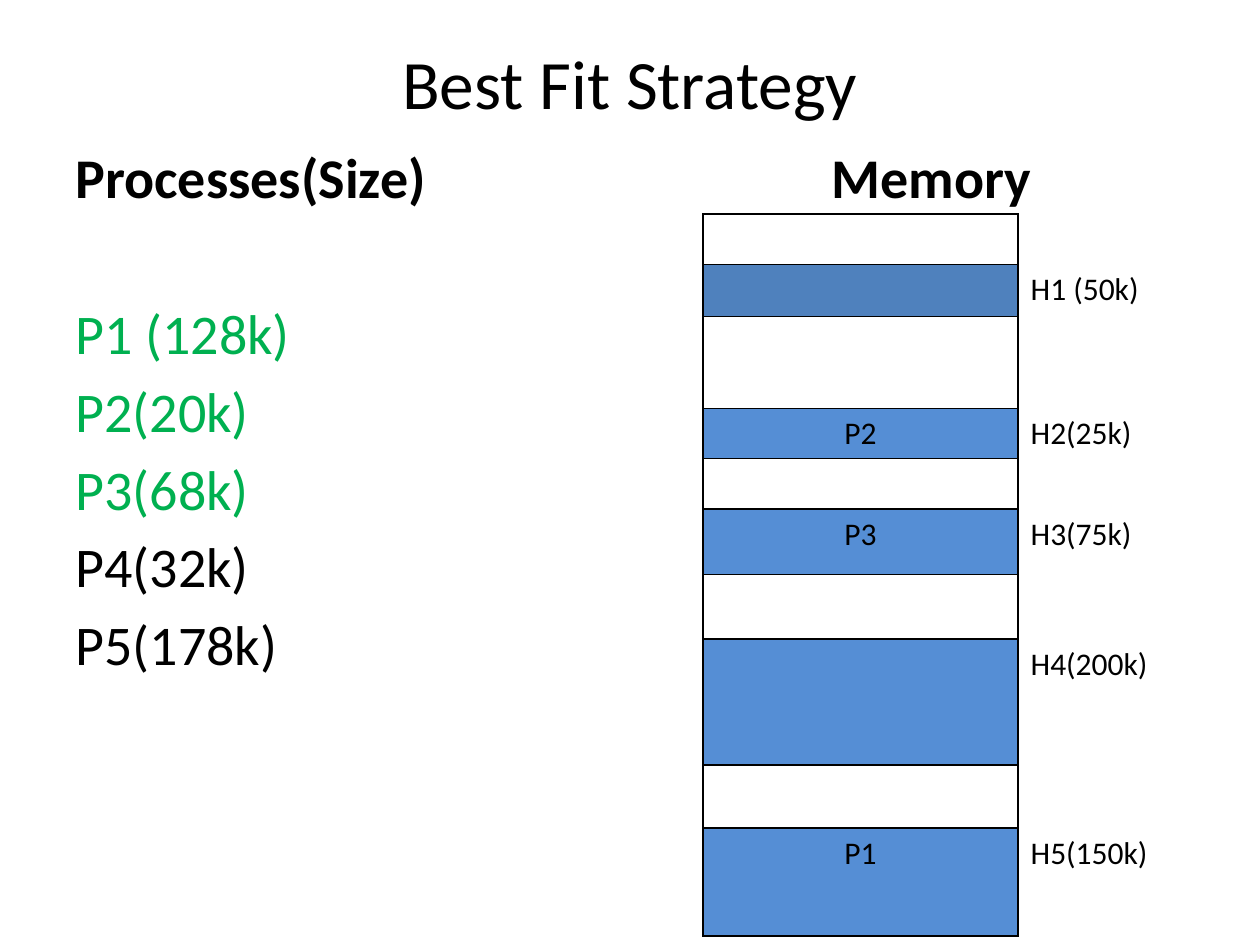
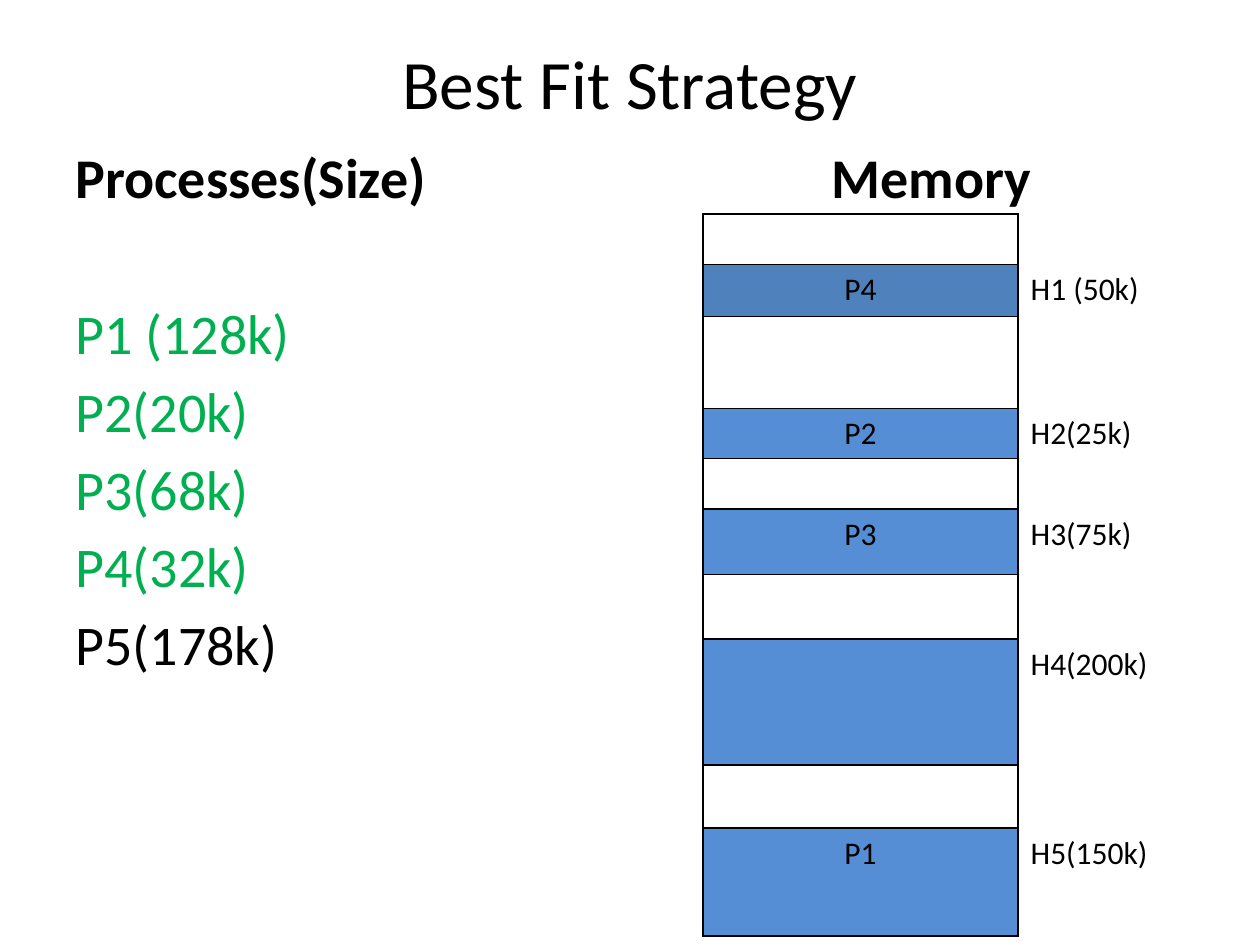
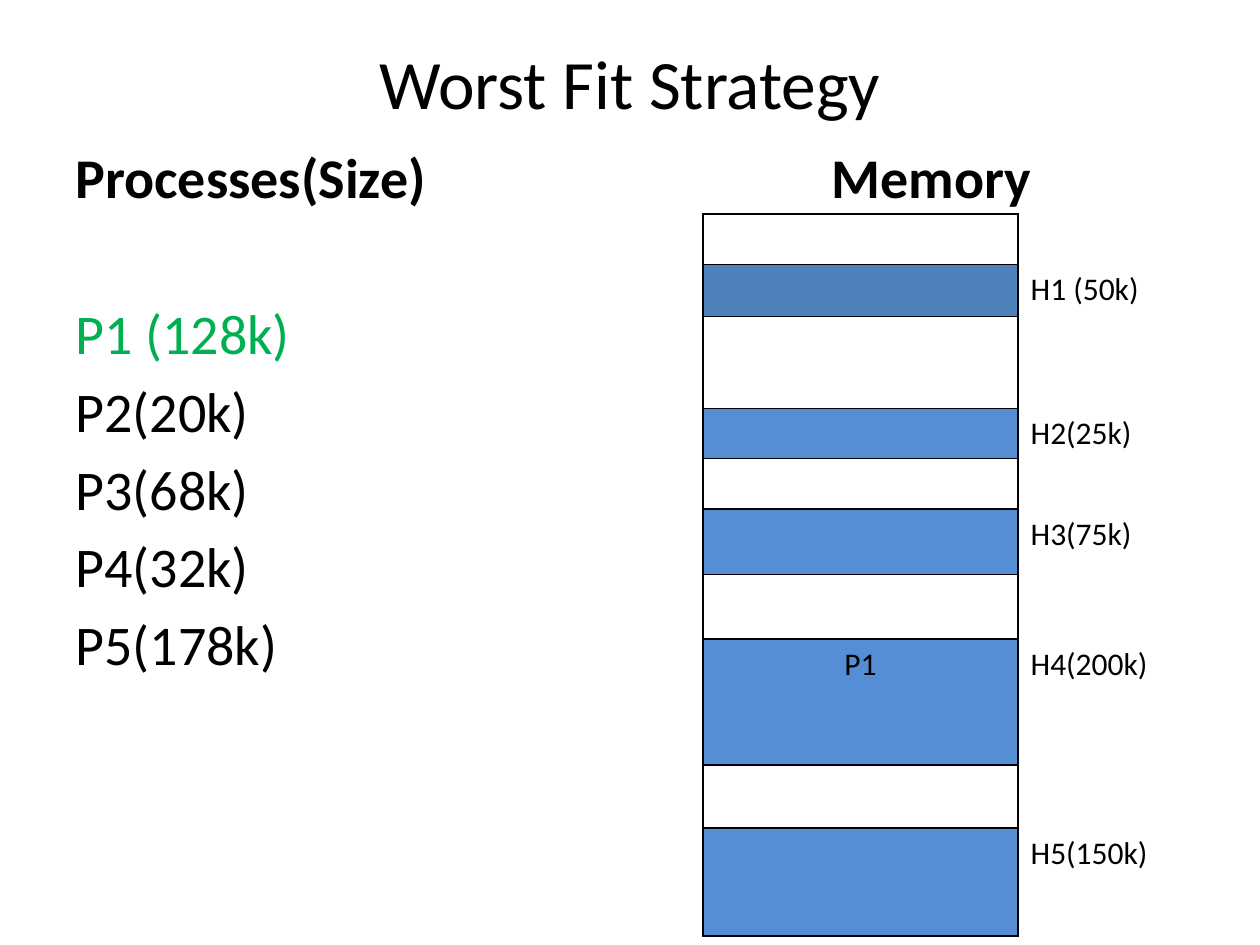
from lxml.etree import SubElement
from pptx import Presentation
from pptx.dml.color import RGBColor
from pptx.enum.text import MSO_ANCHOR, PP_ALIGN
from pptx.oxml.ns import qn
from pptx.util import Inches, Pt

BLACK = RGBColor(0x00, 0x00, 0x00)
GREEN = RGBColor(0x00, 0xB0, 0x50)
STEEL = RGBColor(0x4F, 0x81, 0xBD)
BLUE = RGBColor(0x55, 0x8E, 0xD5)

FONT = "Calibri"
COLS = 20
TITLE = (1, 0.6, 18, 1.4)
BODY = (1, 2.16, 18, 12.84)
TABLE = (11.16, 3.4)
WIDTHS = (5, 2.34)
TAB = 12

JOBS = {"P1": "P1 (128k)", "P2": "P2(20k)", "P3": "P3(68k)", "P4": "P4(32k)", "P5": "P5(178k)"}
HOLES = [
    ("H1 (50k)", 0.8, 0.82, STEEL),
    ("H2(25k)", 1.46, 0.8, BLUE),
    ("H3(75k)", 0.8, 1.04, BLUE),
    ("H4(200k)", 1.02, 2, BLUE),
    ("H5(150k)", 1, 1.72, BLUE),
]
PLANS = [
    ("Best Fit Strategy", ["", "P2", "P3", "", "P1"]),
    ("Best Fit Strategy", ["P4", "P2", "P3", "", "P1"]),
    ("Worst Fit Strategy", ["", "", "", "P1", ""]),
]


class Deck:
    """Holds the shared style and the current slide."""

    def __init__(self):
        self.show = Presentation()
        self.show.slide_width = Inches(10)
        self.show.slide_height = Inches(7.5)
        self.slide = None

    def unit(self, count):
        return round(self.show.slide_width * count / COLS)

    def page(self):
        self.slide = self.show.slides.add_slide(self.show.slide_layouts[6])

    def frame(self, place, **form):
        frame = self.slide.shapes.add_textbox(*map(self.unit, place)).text_frame
        for name, value in {"word_wrap": True, **form}.items():
            setattr(frame, name, value)
        return frame

    def label(self, para, text, size, color=BLACK, bold=False, **form):
        for name, value in form.items():
            setattr(para, name, value)
        run = para.add_run()
        run.text = text
        for name, value in {"name": FONT, "size": Pt(size), "bold": bold}.items():
            setattr(run.font, name, value)
        run.font.color.rgb = color

    def title(self, text):
        frame = self.frame(TITLE, vertical_anchor=MSO_ANCHOR.MIDDLE)
        self.label(frame.paragraphs[0], text, 39.6, alignment=PP_ALIGN.CENTER)

    def jobs(self, placed):
        frame = self.frame(BODY)
        head = frame.paragraphs[0]
        self.label(head, "Processes(Size)\tMemory", 32, bold=True, space_before=Pt(6))
        tabs = SubElement(head._p.get_or_add_pPr(), qn("a:tabLst"))
        SubElement(tabs, qn("a:tab"), pos=str(self.unit(TAB)), algn="l")
        for index, (job, text) in enumerate(JOBS.items()):
            color = GREEN if job in placed else BLACK
            gap = Pt(6 if index else 51)
            self.label(frame.add_paragraph(), text, 32, color, space_before=gap)

    def edge(self, cell, sides):
        props = cell._tc.get_or_add_tcPr()
        for side in "LRTB":
            line = SubElement(props, qn(f"a:ln{side}"), w=str(Pt(1)))
            if side in sides:
                fill = SubElement(line, qn("a:solidFill"))
                SubElement(fill, qn("a:srgbClr"), val=str(BLACK))
            else:
                SubElement(line, qn("a:noFill"))

    def memory(self, placed):
        sizes = [size for hole in HOLES for size in hole[1:3]]
        area = map(self.unit, (*TABLE, sum(WIDTHS), sum(sizes)))
        table = self.slide.shapes.add_table(len(sizes), len(WIDTHS), *area).table
        for name in ("first_row", "horz_banding"):
            setattr(table, name, False)
        for col, width in zip(table.columns, WIDTHS):
            col.width = self.unit(width)
        for index, size in enumerate(sizes):
            table.rows[index].height = self.unit(size)
            for col, sides in enumerate(("LRTB", "L")):
                cell = table.cell(index, col)
                self.edge(cell, sides)
                cell.fill.background()
        for index, ((text, _, _, color), job) in enumerate(zip(HOLES, placed)):
            block, note = (table.cell(2 * index + 1, col) for col in (0, 1))
            block.fill.solid()
            block.fill.fore_color.rgb = color
            if job:
                self.label(block.text_frame.paragraphs[0], job, 18, alignment=PP_ALIGN.CENTER)
            self.label(note.text_frame.paragraphs[0], text, 18)


def main():
    deck = Deck()
    for title, placed in PLANS:
        deck.page()
        deck.title(title)
        deck.jobs(placed)
        deck.memory(placed)
    deck.show.save("out.pptx")


if __name__ == "__main__":
    main()
